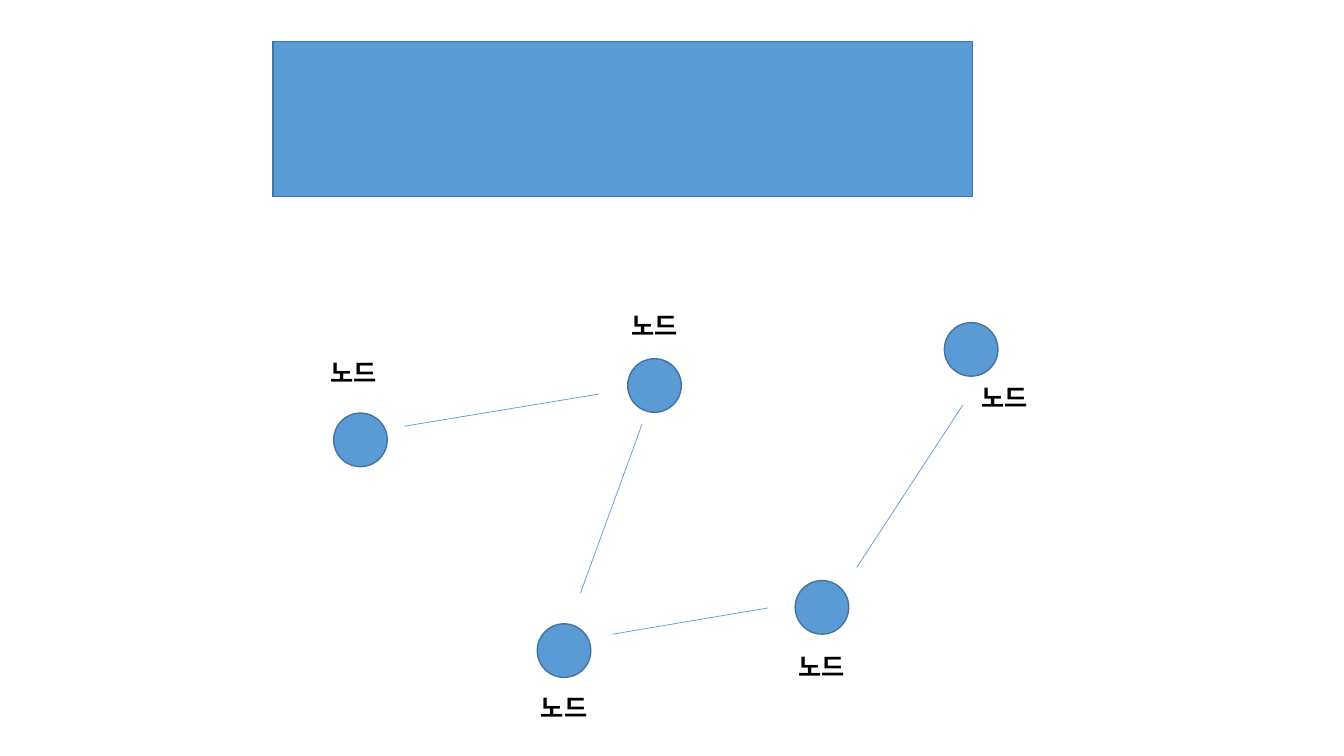
from dataclasses import dataclass

from lxml import etree
from pptx import Presentation
from pptx.dml.color import RGBColor
from pptx.enum.shapes import MSO_CONNECTOR, MSO_SHAPE
from pptx.enum.text import MSO_AUTO_SIZE, PP_ALIGN
from pptx.oxml.ns import qn
from pptx.util import Cm, Pt

RECT, OVAL = MSO_SHAPE.RECTANGLE, MSO_SHAPE.OVAL
STRAIGHT = MSO_CONNECTOR.STRAIGHT
CENTER = PP_ALIGN.CENTER
GROW = MSO_AUTO_SIZE.SHAPE_TO_FIT_TEXT


@dataclass(frozen=True)
class Theme:
    fill: RGBColor = RGBColor(0x5B, 0x9B, 0xD5)
    outline: RGBColor = RGBColor(0x43, 0x73, 0x9E)
    text: RGBColor = RGBColor(0, 0, 0)
    font: str = "Noto Sans CJK KR"
    label_size: int = 18
    outline_width: float = 1
    link_width: float = 0.5


THEME = Theme()
NODE_SIZE = 1.35
LABEL_WIDTH, LABEL_HEIGHT = 2.11, 1.02

# Centimetres from the graph's corner: node position, label position
NODES = [
    ((0.56, 2.71), (0, 1.19)),
    ((7.97, 1.34), (7.59, 0)),
    ((5.69, 8.02), (5.31, 9.62)),
    ((12.19, 6.93), (11.81, 8.58)),
    ((15.95, 0.43), (16.41, 1.8)),
]
# Start and end of the link between each node and the next
LINKS = [
    ((2.34, 3.04), (7.24, 2.23)),
    ((8.33, 2.99), (6.78, 7.24)),
    ((7.59, 8.28), (11.5, 7.62)),
    ((13.74, 6.6), (16.41, 2.51)),
]


def add_filled(slide, kind, x, y, w, h):
    sp = slide.shapes.add_shape(kind, Cm(x), Cm(y), Cm(w), Cm(h))
    sp.shadow.inherit = False
    sp.fill.solid()
    sp.fill.fore_color.rgb = THEME.fill
    sp.line.color.rgb = THEME.outline
    sp.line.width = Pt(THEME.outline_width)


def add_text(slide, text, x, y, w, h, *, size, color, bold=False, align=CENTER):
    tf = slide.shapes.add_textbox(Cm(x), Cm(y), Cm(w), Cm(h)).text_frame
    tf.word_wrap = True
    tf.auto_size = GROW
    p = tf.paragraphs[0]
    p.alignment = align
    r = p.add_run()
    r.text = text
    r.font.name = THEME.font
    r.font.size = Pt(size)
    r.font.bold = bold
    r.font.color.rgb = color
    # Hangul takes its typeface from the East Asian slot
    latin = r.font._element.find(qn("a:latin"))
    ea = etree.Element(qn("a:ea"), typeface=THEME.font)
    latin.addnext(ea)


def add_link(slide, x1, y1, x2, y2):
    link = slide.shapes.add_connector(STRAIGHT, Cm(x1), Cm(y1), Cm(x2), Cm(y2))
    link.line.color.rgb = THEME.fill
    link.line.width = Pt(THEME.link_width)
    etree.SubElement(link._element.spPr, qn("a:effectLst"))


def add_banner(slide, x, y, w, h):
    add_filled(slide, RECT, x, y, w, h)


def add_graph(slide, x, y):
    """Draw the nodes, links and labels from the corner x, y."""
    for (nx, ny), _ in NODES:
        add_filled(slide, OVAL, x + nx, y + ny, NODE_SIZE, NODE_SIZE)
    for (x1, y1), (x2, y2) in LINKS:
        add_link(slide, x + x1, y + y1, x + x2, y + y2)
    for _, (lx, ly) in NODES:
        add_text(slide, "노드", x + lx, y + ly, LABEL_WIDTH, LABEL_HEIGHT,
                 size=THEME.label_size, color=THEME.text, bold=True)


def main():
    prs = Presentation()
    prs.slide_width, prs.slide_height = Cm(33.87), Cm(19.05)
    slide = prs.slides.add_slide(prs.slide_layouts.get_by_name("Blank"))
    add_banner(slide, 6.88, 1.04, 17.63, 3.91)
    add_graph(slide, 7.85, 7.7)
    prs.save("out.pptx")


if __name__ == "__main__":
    main()
